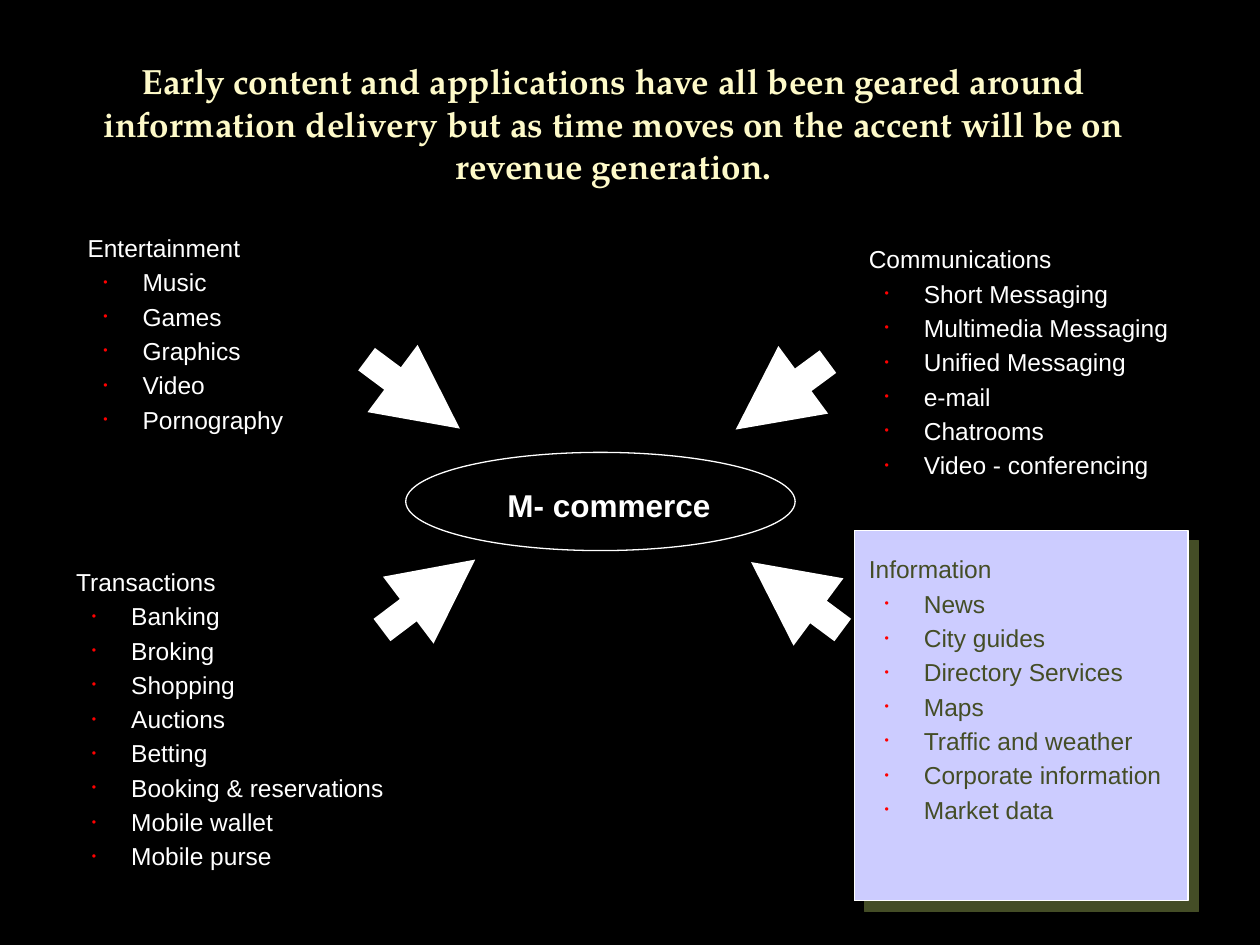
from dataclasses import dataclass

from lxml.etree import SubElement
from pptx import Presentation
from pptx.dml.color import RGBColor as Rgb
from pptx.enum.shapes import MSO_CONNECTOR as Link, MSO_SHAPE as Preset
from pptx.enum.text import MSO_ANCHOR as Anchor, MSO_AUTO_SIZE as AutoSize, PP_ALIGN as Align
from pptx.oxml.ns import qn
from pptx.util import Cm, Pt

HEADLINE = (
    "Early content and applications have all been geared around information delivery "
    "but as time moves on the accent will be on revenue generation."
)
HUB = "M- commerce"
SERVICES = [
    ("Entertainment", ["Music", "Games", "Graphics", "Video", "Pornography"]),
    ("Communications", ["Short Messaging", "Multimedia Messaging", "Unified Messaging",
                        "e-mail", "Chatrooms", "Video - conferencing"]),
    ("Transactions", ["Banking", "Broking", "Shopping", "Auctions", "Betting",
                      "Booking & reservations", "Mobile wallet", "Mobile purse"]),
    ("Information", ["News", "City guides", "Directory Services", "Maps",
                     "Traffic and weather", "Corporate information", "Market data"]),
]
HIGHLIGHTED = "Information"

HEADLINE_BOX = (0.94, 0.89, 22.86, 3.18)
SERVICE_BOXES = [
    (0.56, 4.57, 6.5, 3.81),
    (16.31, 4.8, 8.76, 3.81),
    (0.33, 11.3, 7.9, 3.81),
    (16.31, 11.05, 8.76, 3.81),
]
PANEL_BOX = (17.22, 10.69, 6.73, 7.47)
HUB_BOX = (8.18, 9.12, 7.85, 1.98)
HUB_LABEL_BOX = (9.98, 9.68, 4.6, 1.02)
ARROWS = [
    (7.39, 7.24, 9.27, 8.64),
    (16.69, 7.29, 14.83, 8.66),
    (7.7, 12.7, 9.58, 11.28),
    (16.99, 12.7, 15.14, 11.33),
]
HEADING_INDENT, ITEM_INDENT, ITEM_HANGING = 0.95, 2.06, -0.79


@dataclass(frozen=True)
class Theme:
    background: str = "000000"
    headline: str = "FEFAC9"
    text: str = "FFFFFF"
    olive: str = "444D26"
    panel: str = "CCCCFF"
    bullet: str = "FF0000"
    headline_font: str = "TeX Gyre Pagella"
    body_font: str = "Arial"
    headline_size: int = 20
    hub_size: int = 18
    list_size: int = 14
    outline: float = 0.75
    arrow: int = 16


THEME = Theme()


def cm(box):
    return [Cm(length) for length in box]


def place(holder, box):
    holder.left, holder.top, holder.width, holder.height = cm(box)


def write(paragraph, wording, font, size, color, bold=False):
    run = paragraph.add_run()
    run.text = wording
    run.font.name, run.font.size, run.font.bold = font, Pt(size), bold
    run.font.color.rgb = Rgb.from_string(color)


def outline(part, width):
    part.line.color.rgb = Rgb.from_string(THEME.text)
    part.line.width = Pt(width)


def indent(paragraph, margin, hanging=0):
    props = paragraph._p.get_or_add_pPr()
    props.set("marL", str(Cm(margin)))
    props.set("indent", str(Cm(hanging)))
    return props


def add_bullet(props):
    color = SubElement(props, qn("a:buClr"))
    SubElement(color, qn("a:srgbClr"), val=THEME.bullet)
    SubElement(props, qn("a:buSzPct"), val="50000")
    SubElement(props, qn("a:buFont"), typeface=THEME.body_font)
    SubElement(props, qn("a:buChar"), char="•")


def fill_headline(title):
    place(title, HEADLINE_BOX)
    frame = title.text_frame
    frame.auto_size, frame.vertical_anchor = AutoSize.NONE, Anchor.MIDDLE
    frame.paragraphs[0].alignment = Align.CENTER
    write(frame.paragraphs[0], HEADLINE, THEME.headline_font, THEME.headline_size,
          THEME.headline, True)


def fill_service(body, box, heading, items):
    place(body, box)
    frame = body.text_frame
    frame.auto_size, frame.vertical_anchor = AutoSize.NONE, Anchor.TOP
    color = THEME.olive if heading == HIGHLIGHTED else THEME.text
    first = frame.paragraphs[0]
    SubElement(indent(first, HEADING_INDENT), qn("a:buNone"))
    write(first, heading, THEME.body_font, THEME.list_size, color)
    for item in items:
        line = frame.add_paragraph()
        line.level = 1
        add_bullet(indent(line, ITEM_INDENT, ITEM_HANGING))
        write(line, item, THEME.body_font, THEME.list_size, color)


def add_panel(shapes):
    panel = shapes.add_shape(Preset.RECTANGLE, *cm(PANEL_BOX))
    panel.fill.solid()
    panel.fill.fore_color.rgb = Rgb.from_string(THEME.panel)
    outline(panel, THEME.outline)
    panel.shadow.inherit = False
    effects = panel._element.spPr.find(qn("a:effectLst"))
    shadow = SubElement(effects, qn("a:outerShdw"), dist=str(Pt(8.5)), dir="2700000",
                        algn="ctr", rotWithShape="0")
    SubElement(shadow, qn("a:srgbClr"), val=THEME.olive)
    shapes._spTree.insert(2, panel._element)


def add_hub(shapes):
    ellipse = shapes.add_shape(Preset.OVAL, *cm(HUB_BOX))
    ellipse.fill.background()
    ellipse.shadow.inherit = False
    outline(ellipse, THEME.outline)
    label = shapes.add_textbox(*cm(HUB_LABEL_BOX)).text_frame
    label.word_wrap, label.auto_size = False, AutoSize.SHAPE_TO_FIT_TEXT
    write(label.paragraphs[0], HUB, THEME.body_font, THEME.hub_size, THEME.text, True)


def add_arrow(shapes, ends):
    arrow = shapes.add_connector(Link.STRAIGHT, *cm(ends))
    outline(arrow, THEME.arrow)
    props = arrow._element.spPr
    SubElement(props.find(qn("a:ln")), qn("a:tailEnd"), type="triangle")
    SubElement(props, qn("a:effectLst"))


def main():
    deck = Presentation()
    deck.slide_width, deck.slide_height = Cm(25.4), Cm(19.05)
    slide = deck.slides.add_slide(deck.slide_layouts.get_by_name("Comparison"))
    slide.background.fill.solid()
    slide.background.fill.fore_color.rgb = Rgb.from_string(THEME.background)

    title, *bodies = slide.placeholders
    fill_headline(title)
    for body, box, (heading, items) in zip(bodies, SERVICE_BOXES, SERVICES):
        fill_service(body, box, heading, items)
    add_panel(slide.shapes)

    center = slide.shapes.add_group_shape().shapes
    add_hub(center)
    for ends in ARROWS:
        add_arrow(center, ends)
    deck.save("out.pptx")


if __name__ == "__main__":
    main()
